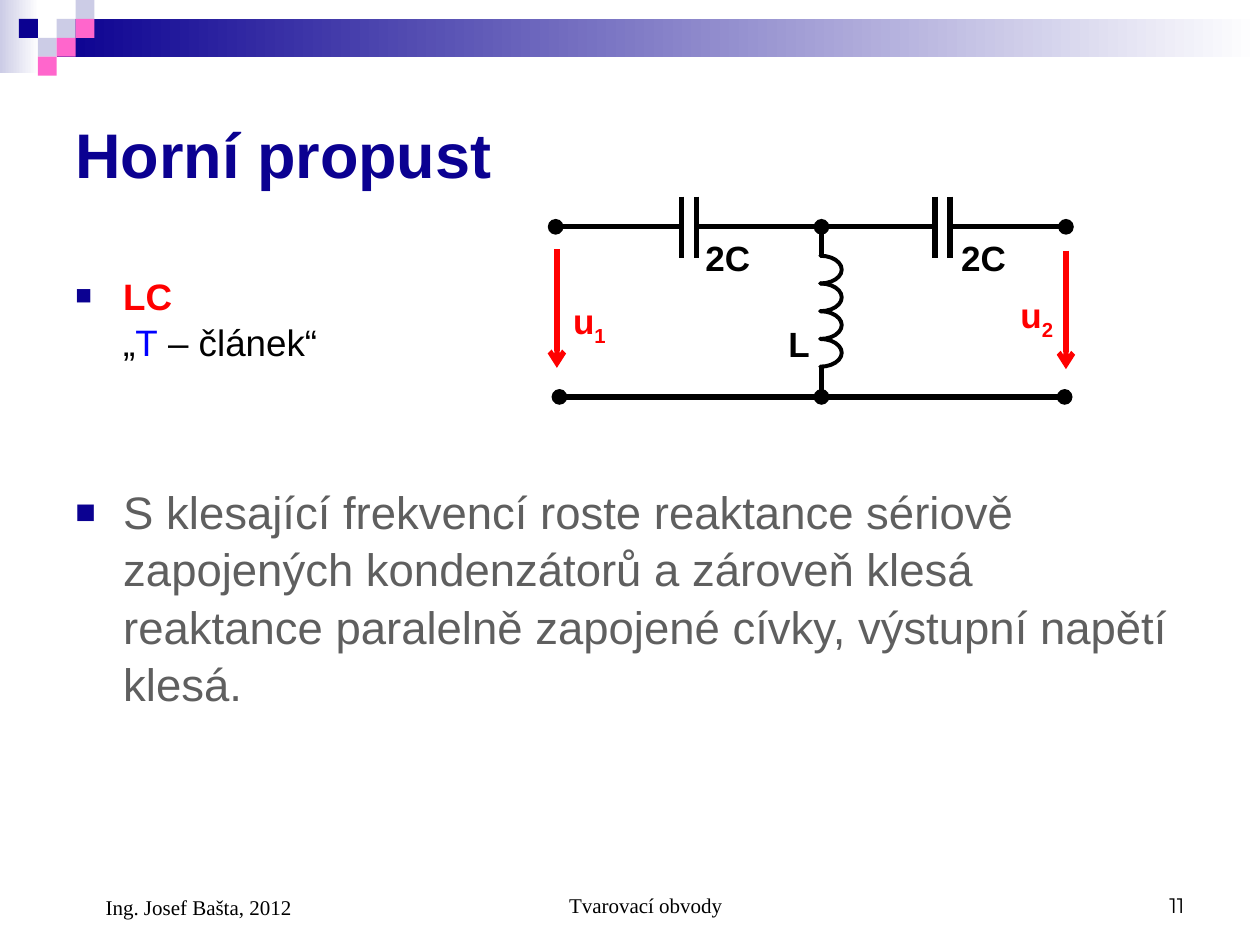
from dataclasses import dataclass
from typing import NamedTuple, Optional

from lxml import etree
from pptx import Presentation
from pptx.dml.color import RGBColor
from pptx.enum.shapes import MSO_CONNECTOR, MSO_SHAPE
from pptx.enum.text import MSO_ANCHOR, PP_ALIGN
from pptx.oxml.ns import qn
from pptx.util import Inches, Pt

RECT, ARC = MSO_SHAPE.RECTANGLE, MSO_SHAPE.BLOCK_ARC
STRAIGHT = MSO_CONNECTOR.STRAIGHT
TOP, MIDDLE, BOTTOM = MSO_ANCHOR.TOP, MSO_ANCHOR.MIDDLE, MSO_ANCHOR.BOTTOM
LEFT, CENTER, RIGHT = PP_ALIGN.LEFT, PP_ALIGN.CENTER, PP_ALIGN.RIGHT


@dataclass(frozen=True)
class Theme:
    navy: str = "0B0191"
    lavender: str = "CCCCE6"
    pink: str = "FF66CC"
    white: str = "FFFFFF"
    black: str = "000000"
    gray: str = "5F5F5F"
    red: str = "FF0000"
    blue: str = "0000FF"
    coil_fill: str = "CBBDFF"
    sans: str = "Arial"
    serif: str = "Times New Roman"
    number: str = "Montserrat"
    title_size: float = 36
    body_size: float = 26
    type_size: float = 21
    label_size: float = 20
    footer_size: float = 12
    wire: float = 3
    coil: float = 2.25


THEME = Theme()


class Box(NamedTuple):
    left: float
    top: float
    width: float
    height: float


class Span(NamedTuple):
    text: str
    size: float
    color: str = THEME.black
    bold: bool = False
    font: str = THEME.sans
    subscript: bool = False
    break_before: bool = False


class Wire(NamedTuple):
    x1: float
    y1: float
    x2: float
    y2: float
    color: str = THEME.black
    head: Optional[str] = None
    tail: Optional[str] = None


class Label(NamedTuple):
    left: float
    top: float
    text: str
    index: str = ""
    color: str = THEME.black


def rgb(value: str) -> RGBColor:
    return RGBColor.from_string(value)


def add_block(slide, box: Box, *colors: str) -> None:
    """Rectangle in one colour, or fading from left to right between two."""
    block = slide.shapes.add_shape(RECT, *map(Inches, box))
    block.shadow.inherit = False
    block.line.fill.background()
    if len(colors) == 1:
        block.fill.solid()
        block.fill.fore_color.rgb = rgb(colors[0])
        return
    block.fill.gradient()
    block.fill.gradient_angle = 0
    for stop, color, position in zip(block.fill.gradient_stops, colors, (0, 1)):
        stop.color.rgb = rgb(color)
        stop.position = position


def add_text(slide, box: Box, spans: list[Span], anchor=TOP, align=LEFT,
             indent: float = 0, bullet: bool = False, spacing: float = 1) -> None:
    frame = slide.shapes.add_textbox(*map(Inches, box)).text_frame
    frame.word_wrap = True
    frame.vertical_anchor = anchor
    paragraph = frame.paragraphs[0]
    properties = paragraph._p.get_or_add_pPr()
    properties.set("marL", str(Inches(indent)))
    if bullet:
        properties.set("indent", str(-Inches(indent)))
        color = etree.SubElement(properties, qn("a:buClr"))
        etree.SubElement(color, qn("a:srgbClr"), val=THEME.navy)
        etree.SubElement(properties, qn("a:buSzPct"), val="75000")
        etree.SubElement(properties, qn("a:buFont"), typeface=THEME.sans)
        etree.SubElement(properties, qn("a:buChar"), char="■")
    paragraph.alignment = align
    paragraph.line_spacing = spacing
    for span in spans:
        if span.break_before:
            paragraph.add_line_break()
        run = paragraph.add_run()
        run.text = span.text
        run.font.name = span.font
        run.font.size = Pt(span.size)
        run.font.bold = span.bold
        run.font.color.rgb = rgb(span.color)
        if span.subscript:
            run._r.get_or_add_rPr().set("baseline", "-25000")


def add_wire(slide, wire: Wire) -> None:
    ends = map(Inches, (wire.x1, wire.y1, wire.x2, wire.y2))
    connector = slide.shapes.add_connector(STRAIGHT, *ends)
    connector.line.color.rgb = rgb(wire.color)
    connector.line.width = Pt(THEME.wire)
    outline = connector.line._get_or_add_ln()
    for tag, kind in (("a:headEnd", wire.head), ("a:tailEnd", wire.tail)):
        if kind:
            etree.SubElement(outline, qn(tag), type=kind)
    etree.SubElement(connector._element.spPr, qn("a:effectLst"))


def add_coil_turn(slide, box: Box) -> None:
    turn = slide.shapes.add_shape(ARC, *map(Inches, box))
    turn.shadow.inherit = False
    turn.rotation = 90
    for i, value in enumerate((107.89, 0.11, 0)):
        turn.adjustments[i] = value
    turn.fill.solid()
    turn.fill.fore_color.rgb = rgb(THEME.coil_fill)
    turn.line.color.rgb = rgb(THEME.black)
    turn.line.width = Pt(THEME.coil)


def add_label(slide, label: Label) -> None:
    spans = [Span(label.text, THEME.label_size, label.color, True)]
    if label.index:
        spans.append(Span(label.index, THEME.label_size, label.color, True,
                          subscript=True))
    add_text(slide, Box(label.left, label.top, 0.64, 0.44), spans)


def draw_header(slide) -> None:
    add_block(slide, Box(0, 0, 0.31, 0.58), THEME.lavender, THEME.white)
    add_block(slide, Box(0.45, 0.15, 9.55, 0.3), THEME.navy, THEME.white)
    # Checkered corner: column, row, colour
    cell = 0.15
    for column, row, color in ((3, 1, THEME.lavender), (4, 0, THEME.lavender),
                               (4, 1, THEME.pink), (2, 2, THEME.lavender),
                               (1, 1, THEME.navy), (3, 2, THEME.pink),
                               (2, 3, THEME.pink)):
        add_block(slide, Box(column * cell, row * cell, cell, cell), color)


def draw_circuit(slide) -> None:
    rail, ground, coil_x = 1.8, 3.15, 6.52
    # Inductor branch
    add_wire(slide, Wire(coil_x, ground, coil_x, 2.91, head="oval"))
    add_wire(slide, Wire(coil_x, 2.03, coil_x, rail, tail="oval"))
    for turn in range(4):
        add_coil_turn(slide, Box(6.4, 1.97 + turn * 0.22, 0.22, 0.34))
    # Upper and lower rails
    add_wire(slide, Wire(5.4, rail, 4.41, rail, tail="oval"))
    add_wire(slide, Wire(7.42, rail, 5.52, rail))
    add_wire(slide, Wire(8.46, rail, 7.55, rail, head="oval"))
    add_wire(slide, Wire(8.45, ground, 4.44, ground, head="oval", tail="oval"))
    # Capacitor plates
    for plate in (5.41, 5.53, 7.42, 7.54):
        add_wire(slide, Wire(plate, 1.56, plate, 2.05))
    # Voltage arrows
    for x, top in ((4.42, 1.98), (8.46, 1.99)):
        add_wire(slide, Wire(x, top, x, top + 0.94, THEME.red, tail="arrow"))
    for label in (Label(6.16, 2.51, "L"), Label(5.5, 1.83, "2C"),
                  Label(7.53, 1.83, "2C"),
                  Label(4.45, 2.33, "u", "1", THEME.red),
                  Label(8, 2.28, "u", "2", THEME.red)):
        add_label(slide, label)


def draw_texts(slide) -> None:
    add_text(slide, Box(0.5, 0.62, 3.82, 1.2),
             [Span("Horní propust", THEME.title_size, THEME.navy, True)], MIDDLE)
    add_text(slide, Box(0.5, 2.1, 3.5, 1.17), [
        Span("LC", THEME.type_size, THEME.red, True),
        Span("„", THEME.type_size, break_before=True),
        Span("T", THEME.type_size, THEME.blue),
        Span(" – článek“", THEME.type_size),
    ], indent=0.38, bullet=True, spacing=1.06)
    add_text(slide, Box(0.5, 3.77, 9, 1.91), [Span(
        "S klesající frekvencí roste reaktance sériově zapojených kondenzátorů "
        "a zároveň klesá reaktance paralelně zapojené cívky, výstupní napětí "
        "klesá.", THEME.body_size, THEME.gray)],
        indent=0.38, bullet=True, spacing=1.05)
    # Footer
    for box, text, font, align, indent in (
            (Box(0.5, 6.83, 2.33, 0.52), "Ing. Josef Bašta, 2012", THEME.serif, LEFT, 0.24),
            (Box(3.42, 6.83, 3.17, 0.5), "Tvarovací obvody", THEME.serif, CENTER, 0.24),
            (Box(7.17, 6.83, 2.33, 0.5), "11", THEME.number, RIGHT, 0)):
        add_text(slide, box, [Span(text, THEME.footer_size, font=font)],
                 BOTTOM, align, indent)


def main() -> None:
    deck = Presentation()
    deck.slide_width, deck.slide_height = Inches(10), Inches(7.5)
    slide = deck.slides.add_slide(deck.slide_layouts[6])
    draw_header(slide)
    draw_texts(slide)
    draw_circuit(slide)
    deck.save("out.pptx")


if __name__ == "__main__":
    main()
